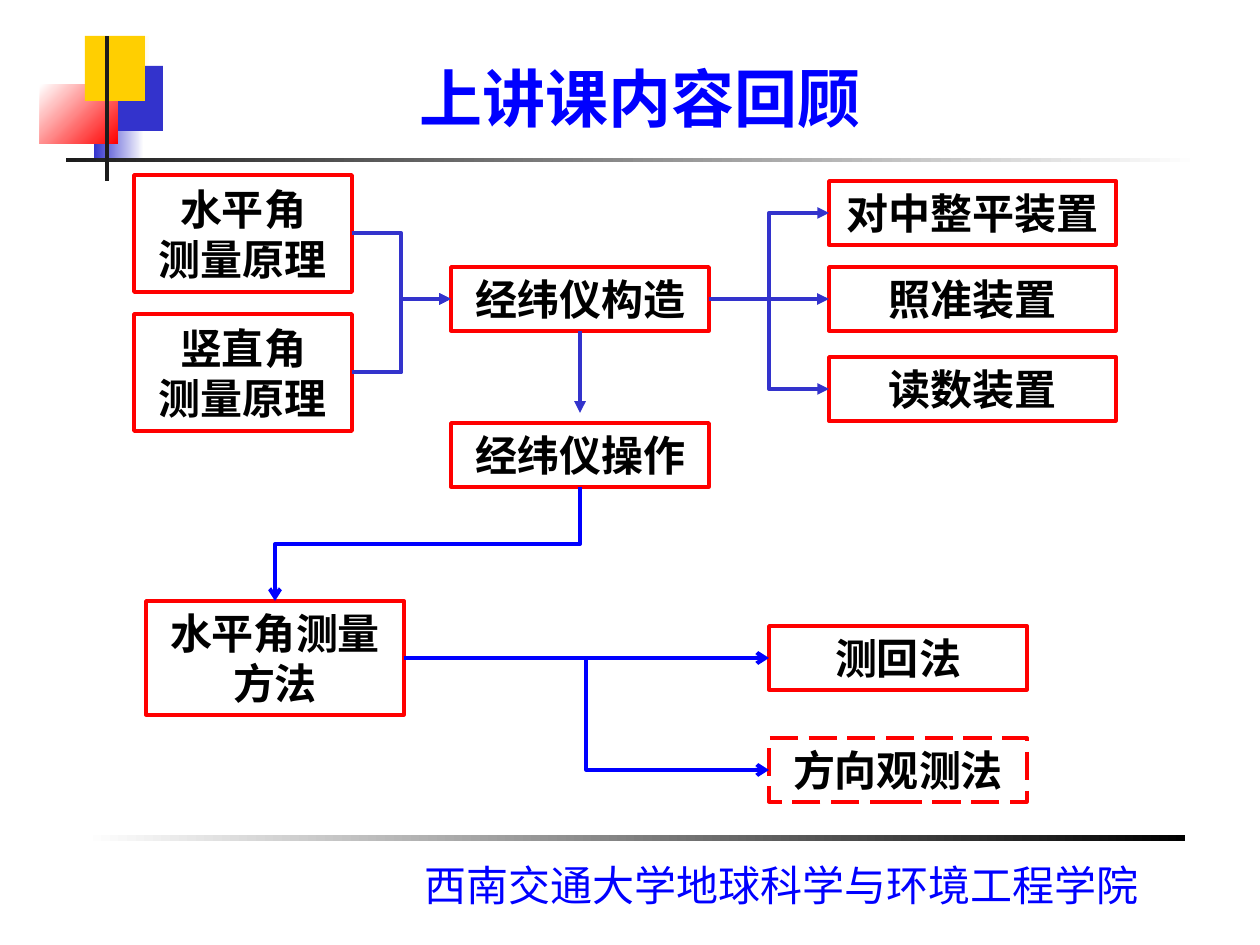
from collections import namedtuple
from dataclasses import dataclass

from lxml import etree
from pptx import Presentation
from pptx import util as u
from pptx.dml.color import RGBColor
from pptx.enum import dml, shapes, text
from pptx.oxml.ns import qn

Box = namedtuple("Box", "left top width height")
PX = u.Inches(1) / 126
TOP, LEFT, BOTTOM, RIGHT = range(4)


@dataclass(frozen=True)
class Theme:
    """Colours, fonts and sizes of the slide."""
    blue: str = "0000FF"
    indigo: str = "3333CC"
    red: str = "FF0000"
    gold: str = "FFCF01"
    dark: str = "1C1C1C"
    black: str = "000000"
    white: str = "FFFFFF"
    font: str = "Karla"
    footer_font: str = "Noto Sans CJK SC"
    title_size: int = 36
    body_size: int = 24
    frame_width: float = 2
    line_width: float = 2.25


THEME = Theme()


def px(*values):
    """Turn pixel lengths into EMU."""
    return [u.Emu(round(value * PX)) for value in values]


def rgb(code):
    """Return a colour from its hex code."""
    return RGBColor.from_string(code)


def inside(area, left, top, width, height):
    """Return a box placed relative to an area."""
    return Box(area.left + left, area.top + top, width, height)


def write_text(shape, lines, *, size=THEME.body_size, color=THEME.black, font=THEME.font,
               bold=True, align=text.PP_ALIGN.CENTER, anchor=text.MSO_ANCHOR.MIDDLE):
    """Fill a shape with paragraphs in one format."""
    frame = shape.text_frame
    frame.text = lines
    frame.word_wrap = True
    frame.auto_size = text.MSO_AUTO_SIZE.NONE
    frame.vertical_anchor = anchor
    for paragraph in frame.paragraphs:
        paragraph.alignment = align
        for run in paragraph.runs:
            run.font.name = font
            run.font.size = u.Pt(size)
            run.font.bold = bold
            run.font.color.rgb = rgb(color)


def add_block(slide, box, *colors, angle=0):
    """Add a borderless rectangle with one colour or a two-colour gradient."""
    shape = slide.shapes.add_shape(shapes.MSO_SHAPE.RECTANGLE, *px(*box))
    shape.shadow.inherit = False
    shape.line.fill.background()
    if len(colors) == 1:
        shape.fill.solid()
        shape.fill.fore_color.rgb = rgb(colors[0])
    else:
        shape.fill.gradient()
        shape.fill.gradient_angle = angle
        for stop, color in zip(shape.fill.gradient_stops, colors):
            stop.color.rgb = rgb(color)


def add_node(slide, box, lines, dashed=False):
    """Add a red-framed topic box."""
    shape = slide.shapes.add_shape(shapes.MSO_SHAPE.RECTANGLE, *px(*box))
    shape.shadow.inherit = False
    shape.fill.background()
    shape.line.color.rgb = rgb(THEME.red)
    shape.line.width = u.Pt(THEME.frame_width)
    if dashed:
        shape.line.dash_style = dml.MSO_LINE.LONG_DASH
    write_text(shape, lines)
    return shape


def site(shape, side):
    """Return the middle of a rectangle's side."""
    middle_x = shape.left + shape.width // 2
    middle_y = shape.top + shape.height // 2
    return ((middle_x, shape.top), (shape.left, middle_y),
            (middle_x, shape.top + shape.height), (shape.left + shape.width, middle_y))[side]


def style_arrow(connector, color, head):
    """Set colour, width and arrowhead of a connector."""
    connector.line.color.rgb = rgb(color)
    connector.line.width = u.Pt(THEME.line_width)
    etree.SubElement(connector.line._get_or_add_ln(), qn("a:tailEnd"), type=head)
    etree.SubElement(connector._element.spPr, qn("a:effectLst"))


def join(slide, source, target, color, head, sides=(RIGHT, LEFT), elbow=True):
    """Join two boxes with an arrow."""
    kind = shapes.MSO_CONNECTOR.ELBOW if elbow else shapes.MSO_CONNECTOR.STRAIGHT
    begin, end = site(source, sides[0]), site(target, sides[1])
    connector = slide.shapes.add_connector(kind, *begin, *end)
    connector.begin_connect(source, sides[0])
    connector.end_connect(target, sides[1])
    style_arrow(connector, color, head)
    return connector


def join_downward(slide, source, target, color, head):
    """Join a box to one at its lower left, leaving and arriving vertically."""
    connector = join(slide, source, target, color, head, (BOTTOM, TOP))
    left, top, across, down = connector.left, connector.top, connector.width, connector.height
    connector.left = left + (across - down) // 2
    connector.top = top + (down - across) // 2
    connector.width, connector.height = down, across
    transform = connector._element.spPr.find(qn("a:xfrm"))
    transform.attrib.pop("flipH", None)
    transform.set("rot", "5400000")


def draw_ornament(slide, area):
    """Draw the coloured squares and the rule under the title."""
    for box, colors, angle in (
        ((54, 60, 50, 65), (THEME.indigo, THEME.white), 0),
        ((65, 0, 45, 65), (THEME.gold, THEME.white), 0),
        ((65, 30, 58, 65), (THEME.indigo,), 0),
        ((0, 49, 78, 59), (THEME.white, THEME.red), 315),
        ((26, 122, 1134, 4), (THEME.dark, THEME.white), 0),
        ((45, 0, 60, 65), (THEME.gold,), 0),
        ((65, 0, 4, 145), (THEME.dark,), 0),
    ):
        add_block(slide, inside(area, *box), *colors, angle=angle)


def draw_title(slide, area):
    """Place and write the title."""
    title = slide.shapes.title
    title.left, title.top, title.width, title.height = px(*area)
    write_text(title, "上讲课内容回顾", size=THEME.title_size, color=THEME.blue,
               anchor=text.MSO_ANCHOR.BOTTOM)


def draw_footer(slide, area):
    """Draw the lower rule and the school's name."""
    add_block(slide, inside(area, 0, 0, area.width, 6), THEME.white, THEME.black)
    label = slide.shapes.add_textbox(*px(*inside(area, 328, 18, 745, 64)))
    write_text(label, "西南交通大学地球科学与环境工程学院", color=THEME.blue, bold=False,
               font=THEME.footer_font, align=text.PP_ALIGN.LEFT, anchor=text.MSO_ANCHOR.TOP)


def draw_instrument(slide, area):
    """Draw principles, construction, devices and operation; return the operation box."""
    construction = add_node(slide, inside(area, 317, 92, 258, 64), "经纬仪构造")
    operation = add_node(slide, inside(area, 317, 248, 258, 64), "经纬仪操作")
    style = (THEME.indigo, "triangle")
    for top, name in ((0, "水平角"), (139, "竖直角")):
        principle = add_node(slide, inside(area, 0, top, 218, 117), f"{name}\n测量原理")
        join(slide, principle, construction, *style)
    for top, name in ((6, "对中整平装置"), (92, "照准装置"), (182, "读数装置")):
        device = add_node(slide, inside(area, 695, top, 287, 64), name)
        join(slide, construction, device, *style, elbow=top != 92)
    begin_x, begin_y = site(construction, BOTTOM)
    arrow = slide.shapes.add_connector(shapes.MSO_CONNECTOR.STRAIGHT, begin_x, begin_y,
                                       begin_x, begin_y + px(82)[0])
    arrow.begin_connect(construction, BOTTOM)
    style_arrow(arrow, *style)
    return operation


def draw_methods(slide, area, operation):
    """Draw the horizontal angle methods, fed by the operation box."""
    method = add_node(slide, inside(area, 0, 0, 258, 114), "水平角测量方法")
    style = (THEME.blue, "arrow")
    join_downward(slide, operation, method, *style)
    for top, name, extra in ((25, "测回法", False), (137, "方向观测法", True)):
        option = add_node(slide, inside(area, 623, top, 258, 64), name, dashed=extra)
        join(slide, method, option, *style, elbow=extra)


def main():
    """Build and save the slide."""
    presentation = Presentation()
    presentation.slide_width, presentation.slide_height = px(1260, 945)
    slide = presentation.slides.add_slide(presentation.slide_layouts[5])
    draw_ornament(slide, Box(40, 36, 1160, 145))
    draw_footer(slide, Box(84, 835, 1101, 82))
    draw_title(slide, Box(154, 45, 973, 96))
    operation = draw_instrument(slide, Box(134, 175, 982, 312))
    draw_methods(slide, Box(146, 601, 881, 201), operation)
    presentation.save("out.pptx")


if __name__ == "__main__":
    main()
